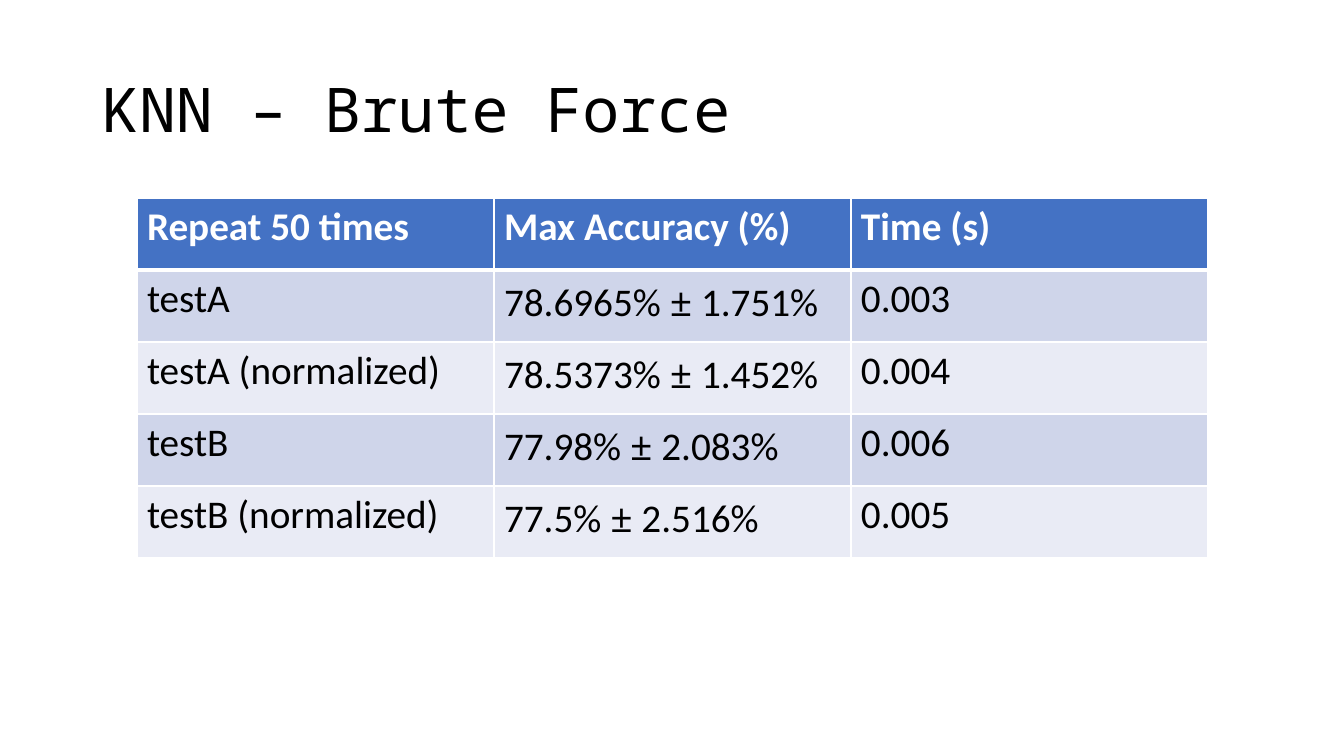
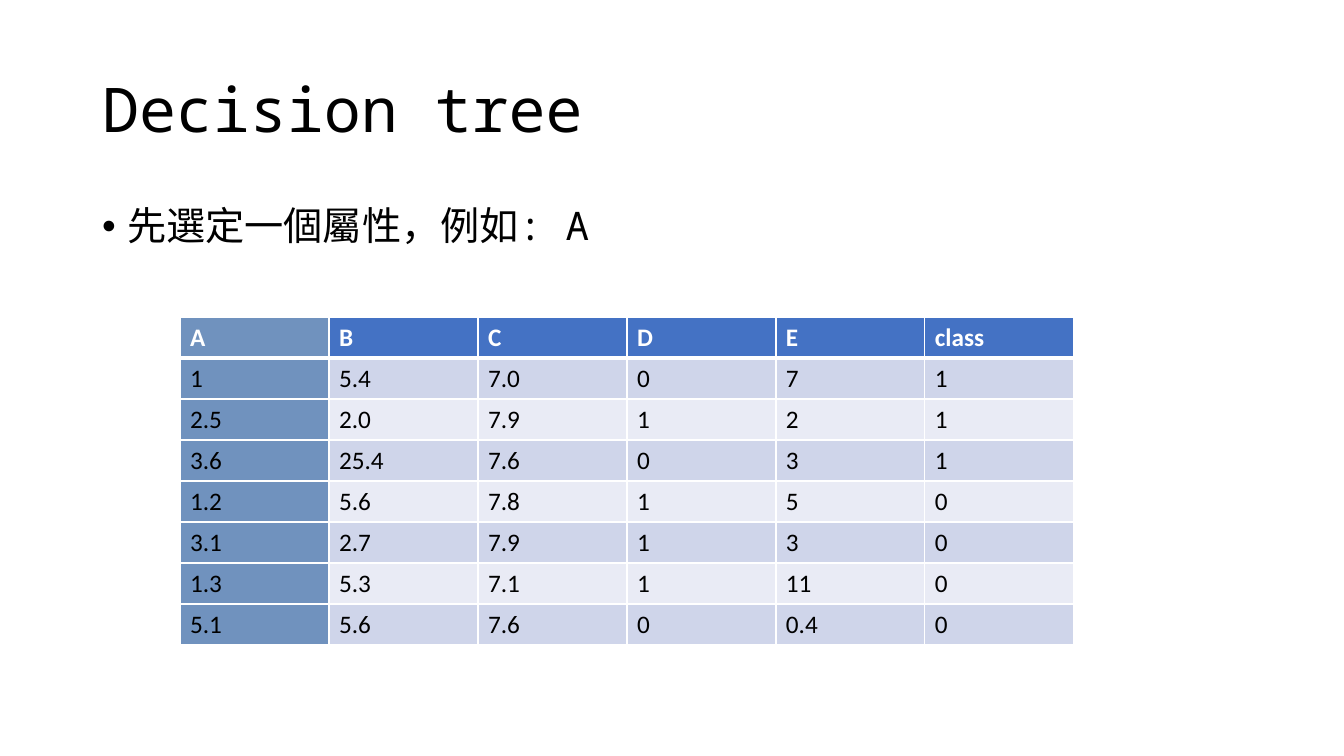
from lxml import etree
from pptx import Presentation
from pptx.dml.color import RGBColor
from pptx.enum.text import MSO_ANCHOR, MSO_AUTO_SIZE, PP_ALIGN
from pptx.oxml.ns import qn
from pptx.util import Emu, Pt

LEFT = PP_ALIGN.LEFT
MIDDLE, TOP = MSO_ANCHOR.MIDDLE, MSO_ANCHOR.TOP
NO_FIT = MSO_AUTO_SIZE.NONE

COLORS = {
    "text": "000000",
    "white": "FFFFFF",
    "head": "4472C4",
    "mark": "7092BE",
    "odd": "CFD5EA",
    "even": "E9EBF5",
}
MONO, SANS, SIGN = "Noto Sans Mono", "Calibri", "Open Sans"
SIZE = (1344, 756)
TITLE_BOX = (92, 40, 1159, 146)
BODY_BOX = (92, 202, 1159, 480)
TITLE_ONLY, TITLE_BODY = 5, 1

SCORES = [
    ["Repeat 50 times", "Max Accuracy (%)", "Time (s)"],
    ["testA", "78.6965% ± 1.751%", "0.003"],
    ["testA (normalized)", "78.5373% ± 1.452%", "0.004"],
    ["testB", "77.98% ± 2.083%", "0.006"],
    ["testB (normalized)", "77.5% ± 2.516%", "0.005"],
]
SAMPLES = [
    ["A", "B", "C", "D", "E", "class"],
    ["1", "5.4", "7.0", "0", "7", "1"],
    ["2.5", "2.0", "7.9", "1", "2", "1"],
    ["3.6", "25.4", "7.6", "0", "3", "1"],
    ["1.2", "5.6", "7.8", "1", "5", "0"],
    ["3.1", "2.7", "7.9", "1", "3", "0"],
    ["1.3", "5.3", "7.1", "1", "11", "0"],
    ["5.1", "5.6", "7.6", "0", "0.4", "0"],
]


def px(n):
    """Turn px, at 100.8 to the inch, into EMU."""
    return Emu(round(n * 914400 / 100.8))


def rgb(name):
    return RGBColor.from_string(COLORS[name])


def add_run(para, text, font, size, color="text", bold=False):
    run = para.add_run()
    run.text = text
    run.font.name = font
    run.font.size = Pt(size)
    run.font.bold = bold
    run.font.color.rgb = rgb(color)


def fill_holder(holder, box, text, size, anchor):
    """Place a placeholder, write its one paragraph and return that."""
    holder.left, holder.top, holder.width, holder.height = map(px, box)
    frame = holder.text_frame
    frame.word_wrap = True
    frame.auto_size = NO_FIT
    frame.vertical_anchor = anchor
    para = frame.paragraphs[0]
    para.alignment = LEFT
    para.line_spacing = 0.9
    add_run(para, text, MONO, size)
    return para


def add_bullet(para):
    props = para._p.get_or_add_pPr()
    props.set("marL", str(Pt(18)))
    props.set("indent", str(-Pt(18)))
    font = etree.SubElement(props, qn("a:buFont"))
    font.set("typeface", "Arial")
    etree.SubElement(props, qn("a:buChar")).set("char", "•")


def add_edges(cell, row):
    """Draw white cell borders, thick between header and body."""
    props = cell._tc.get_or_add_tcPr()
    widths = {"L": 1, "R": 1, "T": 3 if row == 1 else 1, "B": 3 if row == 0 else 1}
    for side, width in widths.items():
        line = etree.SubElement(props, qn(f"a:ln{side}"), w=str(Pt(width)))
        fill = etree.SubElement(line, qn("a:solidFill"))
        etree.SubElement(fill, qn("a:srgbClr"), val=COLORS["white"])


def fill_cell(cell, text, row, size, shade):
    add_edges(cell, row)
    cell.fill.solid()
    cell.fill.fore_color.rgb = rgb(shade)
    head = row == 0
    para = cell.text_frame.paragraphs[0]
    for part in text.partition("±"):
        if part:
            font = SIGN if part == "±" else SANS
            add_run(para, part, font, size, "white" if head else "text", head)


def add_grid(slide, data, spot, pitch, size, marked=None):
    """Add a table at spot with cells of one pitch; marked is a tinted column."""
    rows, cols = len(data), len(data[0])
    wide, high = pitch
    frame = slide.shapes.add_table(
        rows, cols, *map(px, (*spot, wide * cols, high * rows)))
    table = frame.table
    for col in table.columns:
        col.width = px(wide)
    for r, line in enumerate(data):
        table.rows[r].height = px(high)
        band = "head" if r == 0 else "odd" if r % 2 else "even"
        for c, text in enumerate(line):
            shade = "mark" if c == marked else band
            fill_cell(table.cell(r, c), text, r, size, shade)


def add_slide(deck, layout, title):
    slide = deck.slides.add_slide(deck.slide_layouts[layout])
    fill_holder(slide.shapes.title, TITLE_BOX, title, 44, MIDDLE)
    return slide


def score_slide(deck):
    slide = add_slide(deck, TITLE_ONLY, "KNN – Brute Force")
    add_grid(slide, SCORES, (137, 198), (357, 72), 28)


def tree_slide(deck):
    slide = add_slide(deck, TITLE_BODY, "Decision tree")
    para = fill_holder(
        slide.placeholders[1], BODY_BOX, "先選定一個屬性，例如: A", 28, TOP)
    para.space_before = Pt(10)
    add_bullet(para)
    add_grid(slide, SAMPLES, (180, 317), (149, 41), 18, marked=0)


def main():
    deck = Presentation()
    deck.slide_width, deck.slide_height = map(px, SIZE)
    score_slide(deck)
    tree_slide(deck)
    deck.save("out.pptx")


if __name__ == "__main__":
    main()
